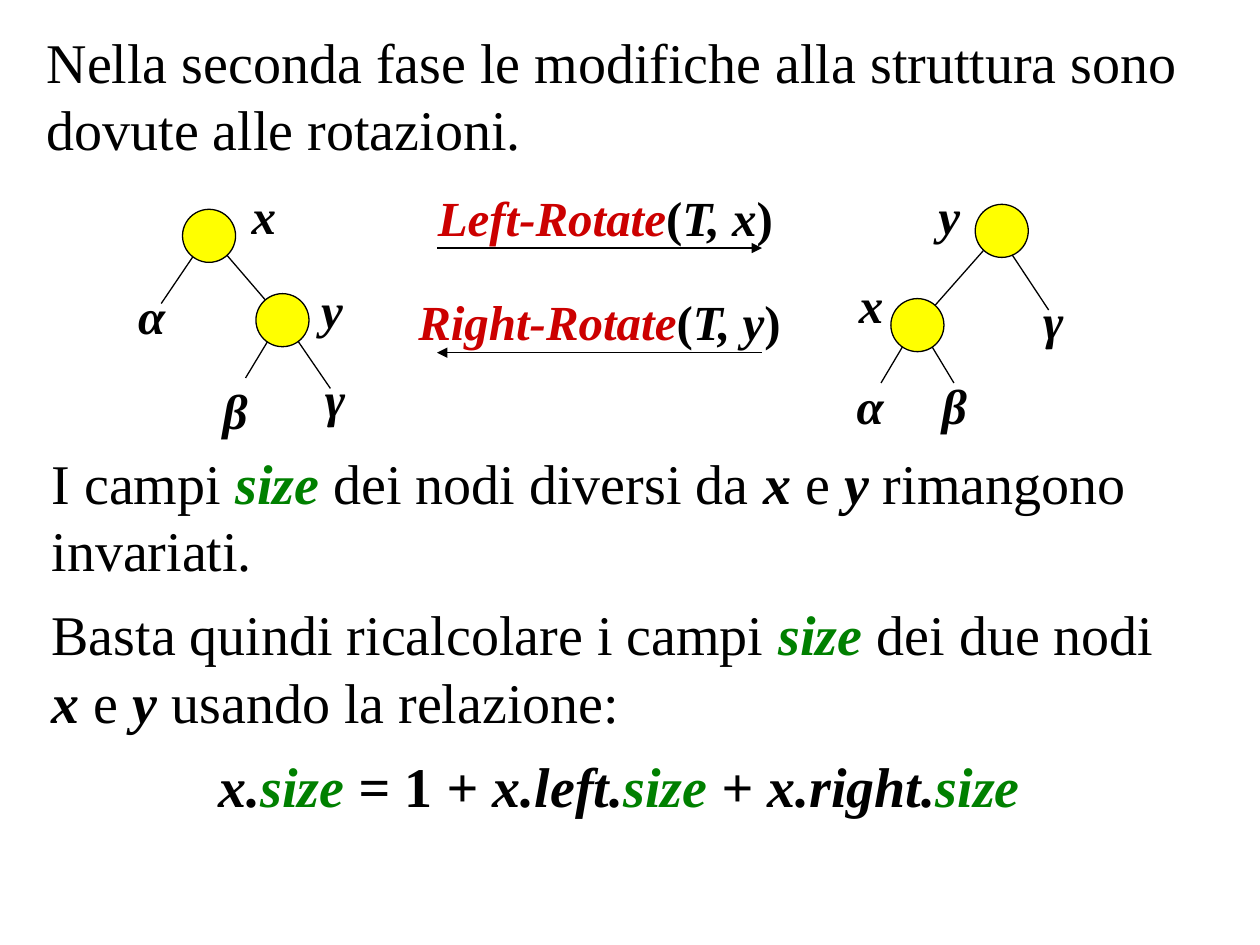
from dataclasses import dataclass

import pptx
import pptx.dml.color
import pptx.enum.dml
import pptx.enum.shapes
import pptx.enum.text
import pptx.oxml
import pptx.oxml.ns
import pptx.util
from pptx.util import Cm

RGB = pptx.dml.color.RGBColor
ALIGN = pptx.enum.text.PP_ALIGN
ANCHOR = pptx.enum.text.MSO_ANCHOR
AUTOFIT = pptx.enum.text.MSO_AUTO_SIZE


@dataclass(frozen=True)
class Theme:
    """Colours and type sizes of the slide."""
    font: str = "Times New Roman"
    ink: RGB = RGB(0x00, 0x00, 0x00)
    field: RGB = RGB(0x00, 0x80, 0x00)
    procedure: RGB = RGB(0xCC, 0x00, 0x00)
    node: RGB = RGB(0xFF, 0xFF, 0x00)
    prose_size: pptx.util.Pt = pptx.util.Pt(32)
    label_size: pptx.util.Pt = pptx.util.Pt(28)
    paragraph_gap: pptx.util.Pt = pptx.util.Pt(9.6)
    line_width: pptx.util.Pt = pptx.util.Pt(0.75)


THEME = Theme()

# Run styles: colour, bold, italic
PLAIN = (THEME.ink, False, False)
BOLD = (THEME.ink, True, False)
VAR = (THEME.ink, True, True)
FIELD = (THEME.field, True, True)
PROCEDURE = (THEME.procedure, True, True)


def write_paragraph(paragraph, runs, size, align=ALIGN.LEFT):
    """Fill a paragraph with (text, style) runs."""
    paragraph.alignment = align
    paragraph.font.name = THEME.font
    paragraph.font.size = size
    for text, (colour, bold, italic) in runs:
        run = paragraph.add_run()
        run.text = text
        run.font.color.rgb = colour
        run.font.bold = bold
        run.font.italic = italic


def add_prose(slide, box, paragraphs, gap=0):
    """Place wrapped body text; each paragraph is (runs, alignment)."""
    frame = slide.shapes.add_textbox(*map(Cm, box)).text_frame
    frame.word_wrap = True
    frame.auto_size = AUTOFIT.SHAPE_TO_FIT_TEXT
    for index, (runs, align) in enumerate(paragraphs):
        paragraph = frame.add_paragraph() if index else frame.paragraphs[0]
        paragraph.space_before = gap
        write_paragraph(paragraph, runs, THEME.prose_size, align)


def add_label(slide, box, runs):
    """Place one centred line of diagram text, free of side margins."""
    frame = slide.shapes.add_textbox(*map(Cm, box)).text_frame
    frame.word_wrap = False
    frame.margin_left = frame.margin_right = 0
    frame.vertical_anchor = ANCHOR.MIDDLE
    write_paragraph(frame.paragraphs[0], runs, THEME.label_size, ALIGN.CENTER)


def add_line(slide, start, end, arrow=False):
    """Draw a thin straight line, with an arrowhead at its end if asked."""
    line = slide.shapes.add_connector(
        pptx.enum.shapes.MSO_CONNECTOR.STRAIGHT, *map(Cm, (*start, *end)))
    line.line.color.rgb = THEME.ink
    line.line.width = THEME.line_width
    properties = line._element.spPr
    if arrow:
        head = pptx.oxml.parse_xml(
            f'<a:tailEnd {pptx.oxml.ns.nsdecls("a")} type="triangle"/>')
        line.line._get_or_add_ln().append(head)
    properties.append(pptx.oxml.parse_xml(
        f'<a:effectLst {pptx.oxml.ns.nsdecls("a")}/>'))


def add_tree(slide, left, top, edges, nodes, labels):
    """Draw a binary tree whose parts are placed from its top left corner."""
    diameter = 1.07
    for x1, y1, x2, y2 in edges:
        add_line(slide, (left + x1, top + y1), (left + x2, top + y2))
    for x, y in nodes:
        node = slide.shapes.add_shape(
            pptx.enum.shapes.MSO_SHAPE.OVAL,
            *map(Cm, (left + x, top + y, diameter, diameter)))
        node.shadow.inherit = False
        node.fill.solid()
        node.fill.fore_color.rgb = THEME.node
        node.line.color.rgb = THEME.ink
        node.line.width = THEME.line_width
    for name, x, y, width in labels:
        height = 1.45 if name in "xy" else 1.27
        add_label(slide, (left + x, top + y, width, height), [(name, VAR)])


def add_rotations(slide, left, top, width):
    """Draw the two opposite rotation arrows, each under its call."""
    right = left + width
    middle = left + width / 2
    calls = [
        ("Left-Rotate", "T, x", middle + 0.12, 7.6, 1.27, left, right),
        ("Right-Rotate", "T, y", middle, 8.2, 3.38, right, left),
    ]
    for procedure, arguments, centre, span, drop, start, end in calls:
        level = top + drop
        add_line(slide, (start, level), (end, level), arrow=True)
        add_label(slide, (centre - span / 2, level - 1.27, span, 1.27), [
            (procedure, PROCEDURE), ("(", BOLD), (arguments, VAR), (")", BOLD)])


def build_slide(slide):
    """Place the introduction, the rotation diagram and the conclusions."""
    add_prose(slide, (0.69, 0.43, 23.8, 3.0), [
        ([("Nella seconda fase le modifiche alla struttura sono dovute "
           "alle rotazioni.", PLAIN)], ALIGN.LEFT)])

    add_tree(
        slide, 2.21, 3.61,
        edges=[(1.9, 1.24, 1.04, 2.51), (2.11, 1.24, 3.58, 2.95),
               (3.38, 2.95, 2.74, 4.01), (3.58, 2.95, 4.45, 4.22)],
        nodes=[(1.47, 0.61), (2.95, 2.31)],
        labels=[("x", 2.6, 0, 1.02), ("y", 4.0, 1.9, 0.97),
                ("α", 0, 2.11, 1.7), ("β", 1.68, 4.01, 1.7),
                ("γ", 3.81, 3.78, 1.47)])
    add_rotations(slide, 8.81, 3.73, 6.55)
    add_tree(
        slide, 16.69, 3.61,
        edges=[(1.9, 3.05, 2.54, 4.11), (1.7, 3.05, 1.07, 4.11),
               (1.9, 2.84, 3.4, 1.14), (3.61, 1.37, 4.45, 2.64)],
        nodes=[(1.27, 2.41), (2.97, 0.51)],
        labels=[("y", 1.96, 0, 0.97), ("x", 0.36, 1.8, 1.02),
                ("α", 0, 3.91, 1.7), ("β", 1.7, 3.91, 1.7),
                ("γ", 3.81, 2.21, 1.47)])

    both_nodes = [("x", VAR), (" e ", PLAIN), ("y", VAR)]
    add_prose(slide, (0.79, 8.92, 23.39, 7.92), [
        ([("I campi ", PLAIN), ("size", FIELD),
          (" dei nodi diversi da ", PLAIN), *both_nodes,
          (" rimangono invariati.", PLAIN)], ALIGN.LEFT),
        ([("Basta quindi ricalcolare i campi ", PLAIN), ("size", FIELD),
          (" dei due nodi ", PLAIN), *both_nodes,
          (" usando la relazione:", PLAIN)], ALIGN.LEFT),
        ([("x.", VAR), ("size", FIELD), (" = ", VAR), ("1", BOLD),
          (" + x.left.", VAR), ("size", FIELD), (" + x.right.", VAR),
          ("size", FIELD)], ALIGN.CENTER),
    ], THEME.paragraph_gap)


presentation = pptx.Presentation()
presentation.slide_width = Cm(25.4)
presentation.slide_height = Cm(19.05)
build_slide(presentation.slides.add_slide(presentation.slide_layouts[6]))
presentation.save("out.pptx")
